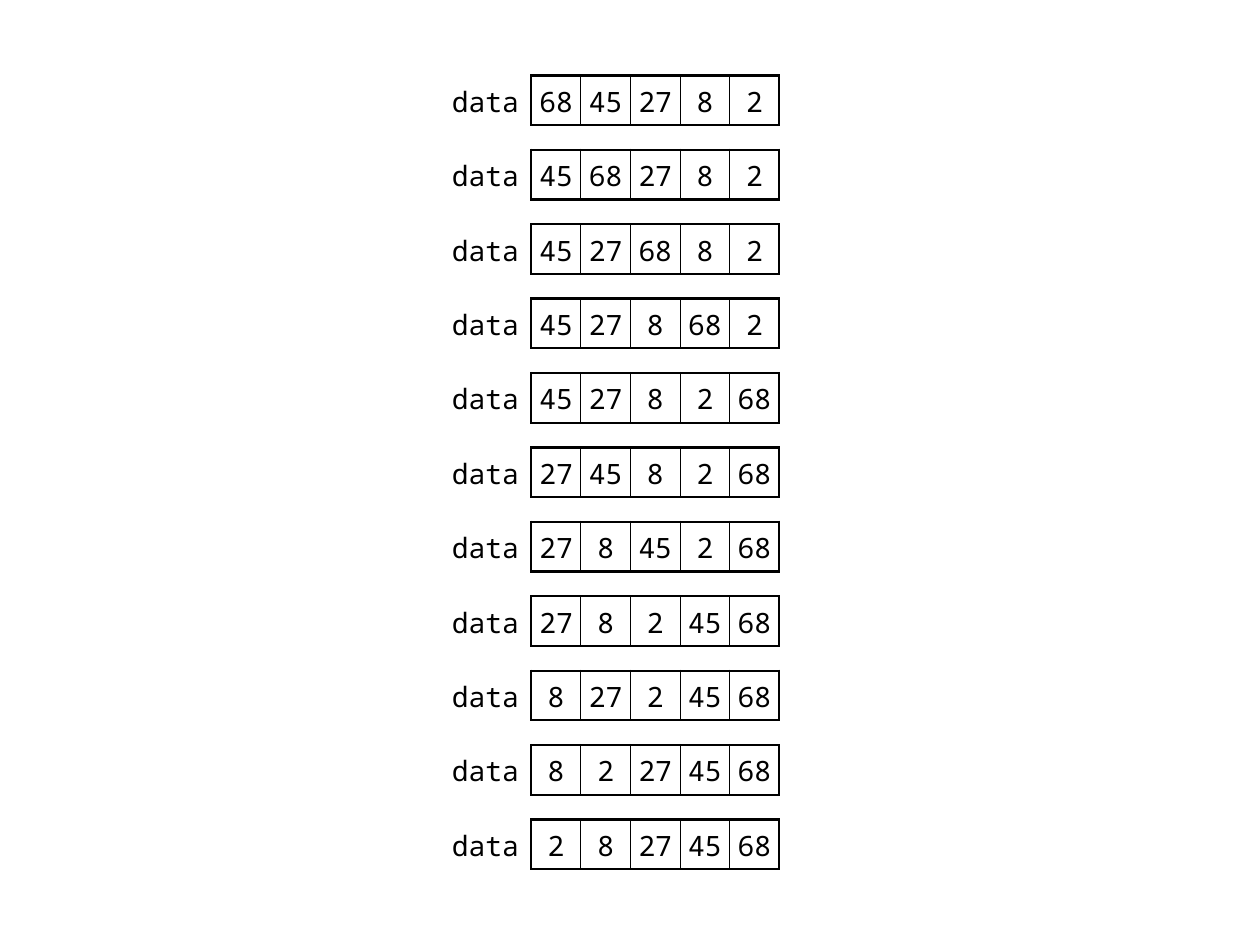
from lxml.etree import SubElement as Sub
from pptx import Presentation
from pptx.dml.color import RGBColor
from pptx.enum.text import MSO_ANCHOR as Anchor, PP_ALIGN as Align
from pptx.oxml.ns import qn
from pptx.util import Cm, Pt

BLACK = RGBColor(0x00, 0x00, 0x00)
WHITE = RGBColor(0xFF, 0xFF, 0xFF)
PLAIN = "{2D5ABB26-0587-4C30-8999-92F81FD0307C}"  # no style, no grid
THICK, THIN = 1.5, 0.75

# Positions in centimetres
LEFT, TOP, STEP = 8.71, 1.52, 1.5
LABEL, CELL = 2, 1


def sort_steps(data):
    """Yield the list at the start and after each bubble sort swap."""
    data = list(data)
    yield list(data)
    for end in range(len(data) - 1, 0, -1):
        for i in range(end):
            if data[i] > data[i + 1]:
                data[i], data[i + 1] = data[i + 1], data[i]
                yield list(data)


class Board:
    """Holds the text style and the current slide."""

    font = {"name": "Noto Sans Mono", "size": Pt(16), "bold": False}

    def __init__(self, slide):
        self.slide = slide

    def edges(self, cell, **widths):
        """Draw the cell sides that have a width and clear the others."""
        props = cell._tc.get_or_add_tcPr()
        for side in "LRTB":
            line = Sub(props, qn(f"a:ln{side}"))
            width = widths.get(side)
            if width:
                line.set("w", str(Pt(width)))
                fill = Sub(line, qn("a:solidFill"))
                Sub(fill, qn("a:srgbClr")).set("val", str(BLACK))
            else:
                Sub(line, qn("a:noFill"))

    def text(self, cell, text, align, side):
        """Write one line of text with the given side margin."""
        form = {
            "margin_left": Cm(side),
            "margin_right": Cm(side),
            "margin_top": Cm(0.05),
            "margin_bottom": 0,
            "vertical_anchor": Anchor.MIDDLE,
        }
        for name, value in form.items():
            setattr(cell, name, value)
        para = cell.text_frame.paragraphs[0]
        para.alignment = align
        run = para.add_run()
        run.text = str(text)
        for name, value in self.font.items():
            setattr(run.font, name, value)
        run.font.color.rgb = BLACK

    def array(self, label, data, top):
        """Add a labelled one-row array."""
        count = len(data)
        frame = self.slide.shapes.add_table(
            1, count + 1, Cm(LEFT), Cm(top), Cm(LABEL + count * CELL), Cm(CELL))
        table = frame.table
        table.first_row = table.horz_banding = False
        table._tbl.tblPr.find(qn("a:tableStyleId")).text = PLAIN
        for i, col in enumerate(table.columns):
            col.width = Cm(CELL if i else LABEL)

        # Label
        head = table.cell(0, 0)
        self.edges(head, R=THICK)
        head.fill.background()
        self.text(head, label, Align.RIGHT, 0.25)

        # Values: thick frame, thin dividers
        for i, value in enumerate(data, 1):
            cell = table.cell(0, i)
            self.edges(cell, T=THICK, B=THICK,
                       L=THICK if i == 1 else THIN,
                       R=THICK if i == count else THIN)
            cell.fill.solid()
            cell.fill.fore_color.rgb = WHITE
            self.text(cell, value, Align.CENTER, 0.1)


def main():
    deck = Presentation()
    deck.slide_width, deck.slide_height = Cm(25.4), Cm(19.05)
    board = Board(deck.slides.add_slide(deck.slide_layouts[6]))

    # One array for each state of the sort
    for i, data in enumerate(sort_steps([68, 45, 27, 8, 2])):
        board.array("data", data, TOP + i * STEP)

    deck.save("out.pptx")


if __name__ == "__main__":
    main()
